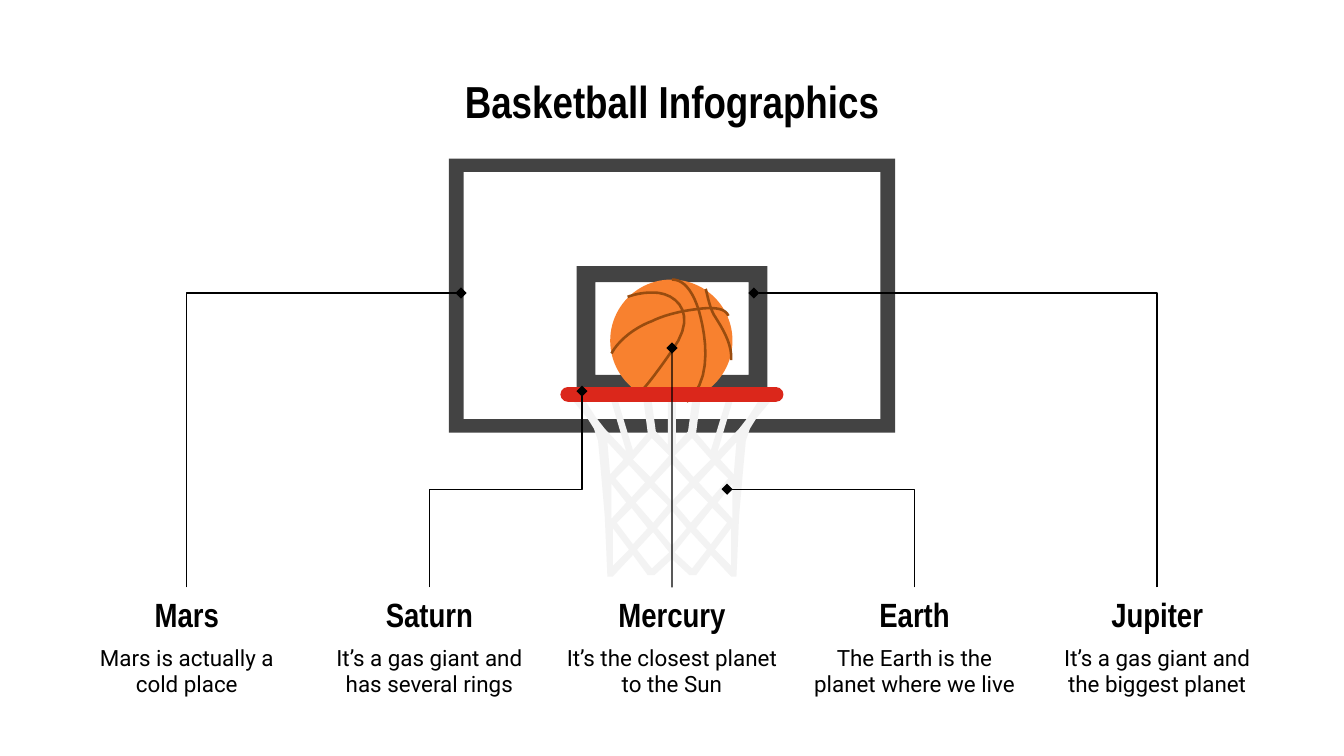
from dataclasses import dataclass

from lxml import etree
from pptx import Presentation, util as u
from pptx.dml.color import RGBColor
from pptx.enum import shapes, text
from pptx.oxml import ns


@dataclass(frozen=True)
class Theme:
    ink: str = "000000"
    frame: str = "434343"
    ball: str = "F8812F"
    seam: str = "994C0F"
    rim: str = "DB271B"
    net: str = "F3F3F3"
    head_font: str = "Arial Narrow"
    body_font: str = "Roboto"
    title_size: int = 24
    head_size: int = 18
    body_size: int = 12
    line_width: float = 0.75
    seam_width: float = 1.4


T = Theme()

# Heading, description, connector target, connector preset
TOPICS = [
    ("Mars", "Mars is actually a cold place", (3.43, 2.18), "bentConnector2"),
    ("Saturn", "It’s a gas giant and has several rings", (4.33, 2.91), "bentConnector3"),
    ("Mercury", "It’s the closest planet to the Sun", (5, 2.59), "line"),
    ("Earth", "The Earth is the planet where we live", (5.41, 3.64), "bentConnector2"),
    ("Jupiter", "It’s a gas giant and the biggest planet", (5.61, 2.18), "bentConnector2"),
]

# Ball seams: a start point, then three points for each Bézier piece
SEAMS = [
    [(.46, 0), (.54, 0), (.61, .07), (.66, .23), (.70, .37), (.78, .74), (.57, .91)],
    [(.13, .13), (.18, .11), (.27, .09), (.36, .10), (.51, .12), (.65, .27),
     (.46, .53), (.33, .72), (.24, .83), (.21, .85)],
    [(.71, .07), (.72, .09), (.73, .18), (.77, .26), (.82, .34), (.91, .47), (.90, .60)],
    [(.01, .55), (.07, .44), (.20, .35), (.31, .31), (.41, .26), (.55, .23),
     (.65, .22), (.79, .20), (.86, .22), (.88, .27)],
]

# Net: half outline and half of the meshes, measured from the centre line
NET_EDGE = [
    (.03, 0), (.03, .32), (.12, .22), (.15, 0), (.21, 0), (.18, .23), (.29, .36),
    (.40, 0), (.45, 0), (.34, .37), (.50, .20), (.57, .11), (.64, 0), (.73, 0),
    (.63, .12), (.58, .20), (.55, .29), (.53, .50), (.50, .85), (.48, 1.3),
    (.44, 1.3), (.29, 1.14), (.18, 1.29), (.13, 1.29), (0, 1.17),
]
NET_SIDE_MESHES = [
    [(.48, .30), (.36, .43), (.46, .54)],
    [(.15, .27), (.02, .40), (.16, .56), (.29, .43)],
    [(.32, .47), (.20, .60), (.30, .71), (.42, .57)],
    [(.45, .61), (.34, .75), (.45, .87)],
    [(.16, .64), (.03, .77), (.14, .90), (.27, .75)],
    [(.30, .79), (.18, .94), (.29, 1.06), (.41, .90)],
    [(.44, .94), (.32, 1.10), (.44, 1.22)],
    [(.14, .97), (.02, 1.12), (.15, 1.24), (.26, 1.10)],
]
NET_MIDDLE_MESHES = [
    [(0, .46), (.13, .60), (0, .74), (-.13, .60)],
    [(0, .81), (.11, .94), (0, 1.07), (-.11, .94)],
]


def paint(sp, color):
    sp.shadow.inherit = False
    sp.fill.solid()
    sp.fill.fore_color.rgb = RGBColor.from_string(color)
    sp.line.fill.background()


def outline(parent, x, y, contours, close=True):
    """Freeform of one or more contours, measured from x, y in inches."""
    def place(points):
        return [(u.Inches(x + px), u.Inches(y + py)) for px, py in points]

    first, *others = [place(c) for c in contours]
    builder = parent.build_freeform(*first[0])
    builder.add_line_segments(first[1:], close=close)
    for c in others:
        builder.move_to(*c[0])
        builder.add_line_segments(c[1:], close=close)
    return builder.convert_to_shape()


def curve(points, steps=10):
    """Sample a chain of cubic Bézier pieces."""
    result = [points[0]]
    for i in range(0, len(points) - 1, 3):
        piece = points[i:i + 4]
        for n in range(1, steps + 1):
            t = n / steps
            weights = ((1 - t) ** 3, 3 * t * (1 - t) ** 2, 3 * t * t * (1 - t), t ** 3)
            result.append(tuple(sum(w * p[k] for w, p in zip(weights, piece)) for k in (0, 1)))
    return result


def mirror(points):
    return [(-x, y) for x, y in points]


def add_frame(parent, x, y, w, h, bar_x, bar_y):
    def rect(dx, dy):
        return [(dx, dy), (w - dx, dy), (w - dx, h - dy), (dx, h - dy)]
    paint(outline(parent, x, y, [rect(0, 0), rect(bar_x, bar_y)]), T.frame)


def add_ball(parent, x, y, size):
    box = [u.Inches(v) for v in (x, y, size, size)]
    paint(parent.add_shape(shapes.MSO_SHAPE.OVAL, *box), T.ball)
    for seam in SEAMS:
        sp = outline(parent, x, y, [curve(seam)], close=False)
        sp.shadow.inherit = False
        sp.fill.background()
        sp.line.color.rgb = RGBColor.from_string(T.seam)
        sp.line.width = u.Pt(T.seam_width)


def add_net(parent, center, y):
    edge = NET_EDGE + mirror(NET_EDGE)[::-1]
    sides = NET_SIDE_MESHES + [mirror(m) for m in NET_SIDE_MESHES]
    paint(outline(parent, center, y, [edge] + sides + NET_MIDDLE_MESHES), T.net)


def add_hoop(s, x, y, w):
    """Backboard, ball, net and rim, centred in a box of width w."""
    parent = s.shapes.add_group_shape().shapes
    center = x + w / 2
    add_frame(parent, x, y, w, 2.04, .11, .1)
    add_frame(parent, center - .71, y + .8, 1.42, .93, .14, .12)
    add_ball(parent, center - .46, y + .9, .91)
    add_net(parent, center, y + 1.81)
    rim = parent.add_shape(shapes.MSO_SHAPE.ROUNDED_RECTANGLE, u.Inches(center - .83),
                           u.Inches(y + 1.7), u.Inches(1.66), u.Inches(.11))
    rim.adjustments[0] = .5
    paint(rim, T.rim)


def write(sp, words, font, size, bold=False, anchor=text.MSO_ANCHOR.TOP):
    tf = sp.text_frame
    tf.text = words
    tf.word_wrap = True
    tf.auto_size = text.MSO_AUTO_SIZE.NONE
    tf.vertical_anchor = anchor
    tf.margin_left = tf.margin_right = tf.margin_top = tf.margin_bottom = u.Inches(.1)
    p = tf.paragraphs[0]
    p.alignment = text.PP_ALIGN.CENTER
    f = p.runs[0].font
    f.name, f.size, f.bold = font, u.Pt(size), bold
    f.color.rgb = RGBColor.from_string(T.ink)


def add_title(s, words, x, y, w, h):
    sp = s.shapes.title
    sp.left, sp.top, sp.width, sp.height = [u.Inches(v) for v in (x, y, w, h)]
    write(sp, words, T.head_font, T.title_size, True)


def add_label(s, x, y, w, head, body):
    parent = s.shapes.add_group_shape().shapes
    sp = parent.add_textbox(u.Inches(x), u.Inches(y), u.Inches(w), u.Inches(.4))
    write(sp, head, T.head_font, T.head_size, True, text.MSO_ANCHOR.MIDDLE)
    sp = parent.add_textbox(u.Inches(x), u.Inches(y + .32), u.Inches(w), u.Inches(.63))
    write(sp, body, T.body_font, T.body_size)


def add_pointer(s, x1, y1, x2, y2, preset):
    """Line rising from a label to its target, with a diamond at the target."""
    bent = preset != "line"
    ends = (x1, y1, x2, y2)
    if bent:  # lay the elbow on its side, then turn it to leave upwards
        cx, cy = (x1 + x2) / 2, (y1 + y2) / 2
        dx, dy = (x2 - x1) / 2, abs(y2 - y1) / 2
        side = dy if dx > 0 else -dy
        ends = (cx - side, cy - abs(dx), cx + side, cy + abs(dx))
    kind = shapes.MSO_CONNECTOR.ELBOW if bent else shapes.MSO_CONNECTOR.STRAIGHT
    c = s.shapes.add_connector(kind, *[u.Inches(v) for v in ends])
    c.line.color.rgb = RGBColor.from_string(T.ink)
    c.line.width = u.Pt(T.line_width)
    sppr = c._element.spPr
    if bent:
        sppr.find(ns.qn("a:prstGeom")).set("prst", preset)
        sppr.find(ns.qn("a:xfrm")).set("rot", str((270 if x2 > x1 else 90) * 60000))
    etree.SubElement(sppr.find(ns.qn("a:ln")), ns.qn("a:tailEnd")).set("type", "diamond")
    etree.SubElement(sppr, ns.qn("a:effectLst"))


def add_topics(s, x, y, w, label_w=1.78):
    """Evenly spaced labels, each with a line to its part of the hoop."""
    step = (w - label_w) / (len(TOPICS) - 1)
    for i, (head, body, target, preset) in enumerate(TOPICS):
        left = x + i * step
        add_label(s, left, y, label_w, head, body)
        add_pointer(s, left + label_w / 2, y, *target, preset)


def main():
    prs = Presentation()
    prs.slide_width = u.Inches(10)
    prs.slide_height = prs.slide_width * 9 // 16
    s = prs.slides.add_slide(prs.slide_layouts[5])
    add_title(s, "Basketball Infographics", .5, .45, 9, .63)
    add_hoop(s, 3.34, 1.18, 3.32)
    add_topics(s, .5, 4.37, 9)
    prs.save("out.pptx")


if __name__ == "__main__":
    main()
